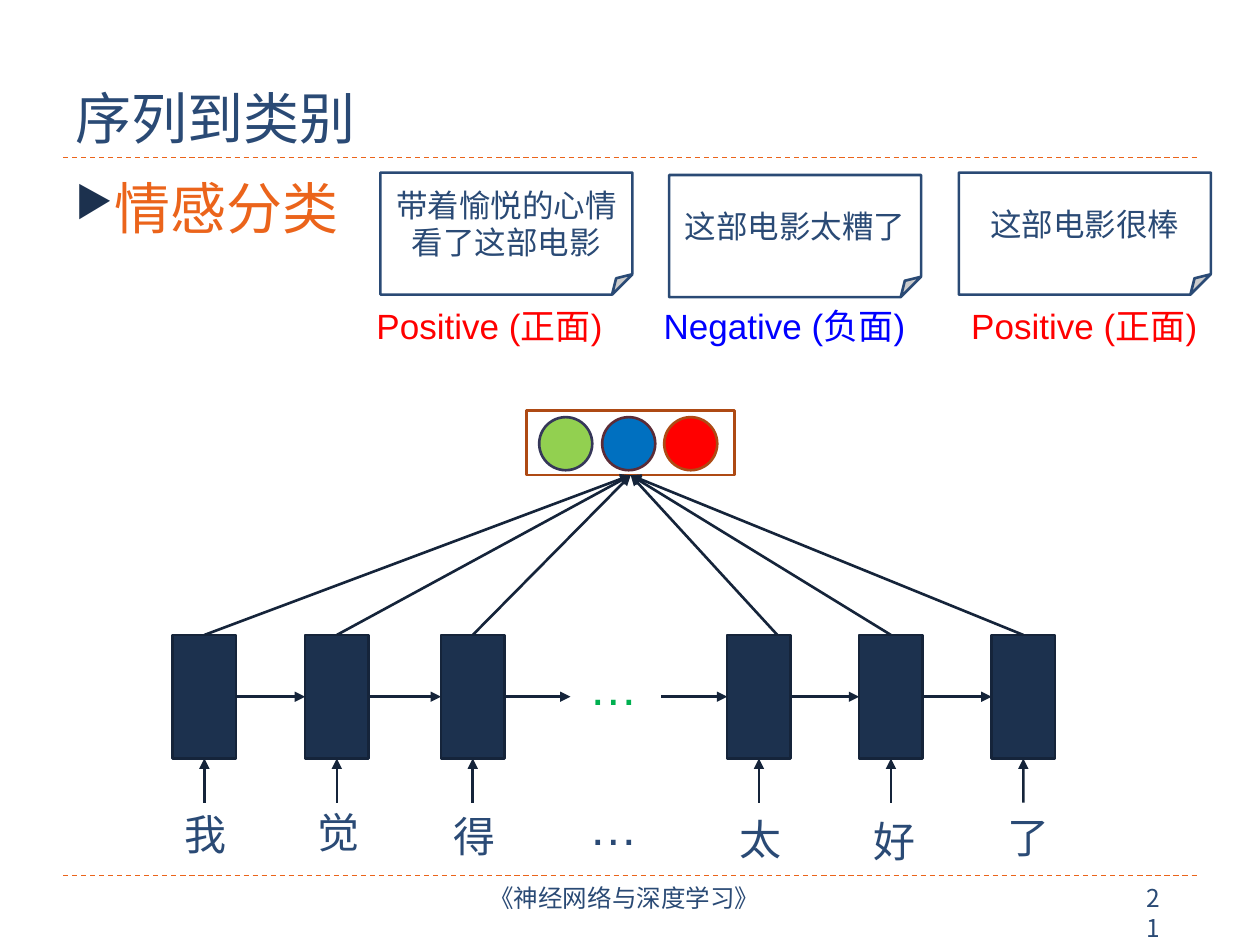
from dataclasses import dataclass

from lxml import etree
from pptx import Presentation
from pptx import util as u
from pptx.dml.color import RGBColor
from pptx.enum import dml, shapes, text
from pptx.oxml.ns import qn

COLORS = {
    "white": "FFFFFF", "text": "2A4A75", "accent": "EB641B",
    "unit": "1C314E", "edge": "15243A", "frame": "AE4A14",
    "positive": "FF0000", "negative": "0000FF", "dots": "00B050",
    "green": "92D050", "green_edge": "353759",
    "blue": "0070C0", "blue_edge": "5C2C37", "red": "FF0000",
}
CJK = "Noto Sans CJK SC"
UNIT_TOP, UNIT_WIDTH, UNIT_HEIGHT = 12.8, 1.28, 2.49
UNIT_MIDDLE = UNIT_TOP + UNIT_HEIGHT / 2
ARROW_START = 16.18
ARROW_LENGTH = 1.33
TOP, LEFT, BOTTOM, RIGHT = range(4)


@dataclass
class Step:
    word: str
    left: float
    word_left: float
    word_top: float
    fan_shift: float = 0


@dataclass
class Review:
    words: str
    left: float
    top: float
    label: str
    label_left: float
    color: str


@dataclass
class Circle:
    left: float
    fill: str
    line: str


STEPS = [
    Step("我", 3.48, 3.48, 16.18),
    Step("觉", 6.15, 6.15, 16.13),
    Step("得", 8.89, 8.89, 16.21),
    Step("太", 14.66, 14.66, 16.28, fan_shift=0.37),
    Step("好", 17.32, 17.35, 16.31),
    Step("了", 19.99, 20.07, 16.23),
]
REVIEWS = [
    Review("带着愉悦的心情看了这部电影", 7.67, 3.48, "Positive (正面)", 7.34, "positive"),
    Review("这部电影太糟了", 13.49, 3.53, "Negative (负面)", 13.13, "negative"),
    Review("这部电影很棒", 19.33, 3.48, "Positive (正面)", 19.33, "positive"),
]
CIRCLES = [
    Circle(10.87, "green", "green_edge"),
    Circle(12.14, "blue", "blue_edge"),
    Circle(13.39, "red", "frame"),
]


def rgb(name: str) -> RGBColor:
    return RGBColor.from_string(COLORS[name])


def write(shape, words: str, *, size: float, color: str = "text", font: str = "Arial",
          align=text.PP_ALIGN.LEFT, anchor=text.MSO_ANCHOR.TOP, bullet: bool = False) -> None:
    frame = shape.text_frame
    frame.word_wrap = True
    frame.vertical_anchor = anchor
    paragraph = frame.paragraphs[0]
    paragraph.alignment = align
    if bullet:
        add_bullet(paragraph)
    run = paragraph.add_run()
    run.text = words
    run.font.size = u.Pt(size)
    run.font.name = font
    run.font.color.rgb = rgb(color)
    etree.SubElement(run._r.get_or_add_rPr(), qn("a:ea"), typeface=CJK)


def add_bullet(paragraph) -> None:
    properties = paragraph._p.get_or_add_pPr()
    properties.set("marL", str(u.Cm(0.56)))
    properties.set("indent", str(u.Cm(-0.56)))
    color = etree.SubElement(properties, qn("a:buClr"))
    etree.SubElement(color, qn("a:srgbClr"), val=COLORS["unit"])
    etree.SubElement(properties, qn("a:buSzPct"), val="76000")
    etree.SubElement(properties, qn("a:buChar"), char="▶")


def add_text(slide, words: str, left: float, top: float, width: float, height: float, **style):
    box = slide.shapes.add_textbox(u.Cm(left), u.Cm(top), u.Cm(width), u.Cm(height))
    write(box, words, **style)
    return box


def add_box(slide, kind, left: float, top: float, width: float, height: float,
            *, line: str, fill: str | None = None):
    shape = slide.shapes.add_shape(kind, u.Cm(left), u.Cm(top), u.Cm(width), u.Cm(height))
    shape.shadow.inherit = False
    if fill:
        shape.fill.solid()
        shape.fill.fore_color.rgb = rgb(fill)
    else:
        shape.fill.background()
    shape.line.color.rgb = rgb(line)
    shape.line.width = u.Pt(1.5)
    return shape


def add_line(slide, start: tuple[float, float], end: tuple[float, float],
             *, color: str, width: float):
    connector = slide.shapes.add_connector(
        shapes.MSO_CONNECTOR.STRAIGHT, *(u.Cm(value) for value in (*start, *end)))
    connector.line.color.rgb = rgb(color)
    connector.line.width = u.Pt(width)
    etree.SubElement(connector._element.spPr, qn("a:effectLst"))
    return connector


def add_arrow(slide, start=(0, 0), end=(0, 0), *, begin_at=None, end_at=None) -> None:
    """Draw an arrow; begin_at and end_at are (shape, site) pairs that replace a point."""
    arrow = add_line(slide, start, end, color="edge", width=1.5)
    etree.SubElement(arrow.line._get_or_add_ln(), qn("a:tailEnd"), type="triangle")
    if begin_at:
        arrow.begin_connect(*begin_at)
    if end_at:
        arrow.end_connect(*end_at)


def add_page_frame(slide) -> None:
    for y in (3.18, 17.65):
        rule = add_line(slide, (1.27, y), (24.13, y), color="accent", width=0.75)
        rule.line.dash_style = dml.MSO_LINE.DASH
    add_text(slide, "《神经网络与深度学习》", 8.46, 17.68, 8.26, 1.02,
             size=14, font=CJK, align=text.PP_ALIGN.CENTER)
    add_text(slide, "21", 22.86, 17.68, 1.04, 0.86, size=14, font=CJK)
    add_text(slide, "序列到类别", 1.27, 0.43, 22.86, 2.74,
             size=32, font=CJK, anchor=text.MSO_ANCHOR.BOTTOM)
    add_text(slide, "情感分类", 1.27, 3.38, 22.86, 13.72,
             size=32, font=CJK, color="accent", bullet=True)


def add_review(slide, review: Review) -> None:
    note = add_box(slide, shapes.MSO_SHAPE.FOLDED_CORNER, review.left, review.top,
                   5.08, 2.46, fill="white", line="text")
    write(note, review.words, size=18, align=text.PP_ALIGN.CENTER,
          anchor=text.MSO_ANCHOR.MIDDLE)
    add_text(slide, review.label, review.label_left, 6.02, 5.97, 1.12,
             size=20, color=review.color)


def add_classifier(slide):
    frame = add_box(slide, shapes.MSO_SHAPE.RECTANGLE, 10.62, 8.28, 4.19, 1.3, line="frame")
    for circle in CIRCLES:
        add_box(slide, shapes.MSO_SHAPE.OVAL, circle.left, 8.41, 1.07, 1.07,
                fill=circle.fill, line=circle.line)
    return frame


def add_step(slide, step: Step, classifier):
    unit = add_box(slide, shapes.MSO_SHAPE.RECTANGLE, step.left, UNIT_TOP,
                   UNIT_WIDTH, UNIT_HEIGHT, fill="unit", line="edge")
    center = step.left + UNIT_WIDTH / 2
    add_arrow(slide, (center, ARROW_START), end_at=(unit, BOTTOM))
    add_arrow(slide, (center + step.fan_shift, UNIT_TOP),
              begin_at=None if step.fan_shift else (unit, TOP),
              end_at=(classifier, BOTTOM))
    add_text(slide, step.word, step.word_left, step.word_top, 1.4, 1.27, size=24)
    return unit


def add_sequence(slide, classifier) -> None:
    units = [add_step(slide, step, classifier) for step in STEPS]
    for half in (units[:3], units[3:]):
        for source, target in zip(half, half[1:]):
            add_arrow(slide, begin_at=(source, RIGHT), end_at=(target, LEFT))
    gap_start, gap_end = STEPS[2].left + UNIT_WIDTH, STEPS[3].left
    add_arrow(slide, end=(gap_start + ARROW_LENGTH, UNIT_MIDDLE), begin_at=(units[2], RIGHT))
    add_arrow(slide, (gap_end - ARROW_LENGTH, UNIT_MIDDLE), end_at=(units[3], LEFT))
    for top, color in ((13.11, "dots"), (15.93, "text")):
        add_text(slide, "…", 10.83, top, 3.07, 1.45, size=28, color=color,
                 align=text.PP_ALIGN.CENTER)


def main() -> None:
    presentation = Presentation()
    presentation.slide_width, presentation.slide_height = u.Cm(25.4), u.Cm(19.05)
    slide = presentation.slides.add_slide(presentation.slide_layouts[6])
    add_page_frame(slide)
    for review in REVIEWS:
        add_review(slide, review)
    add_sequence(slide, add_classifier(slide))
    presentation.save("out.pptx")


if __name__ == "__main__":
    main()
